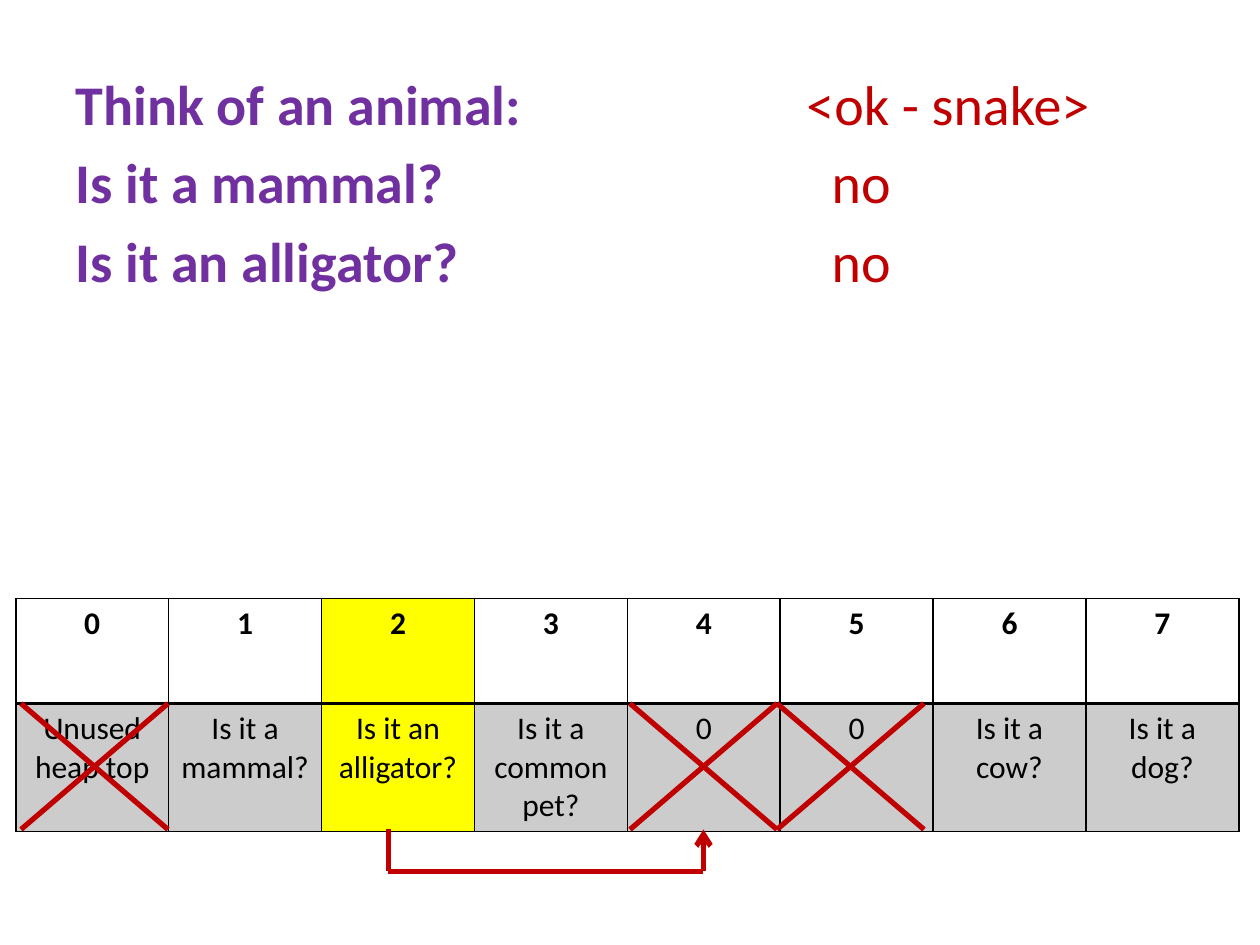
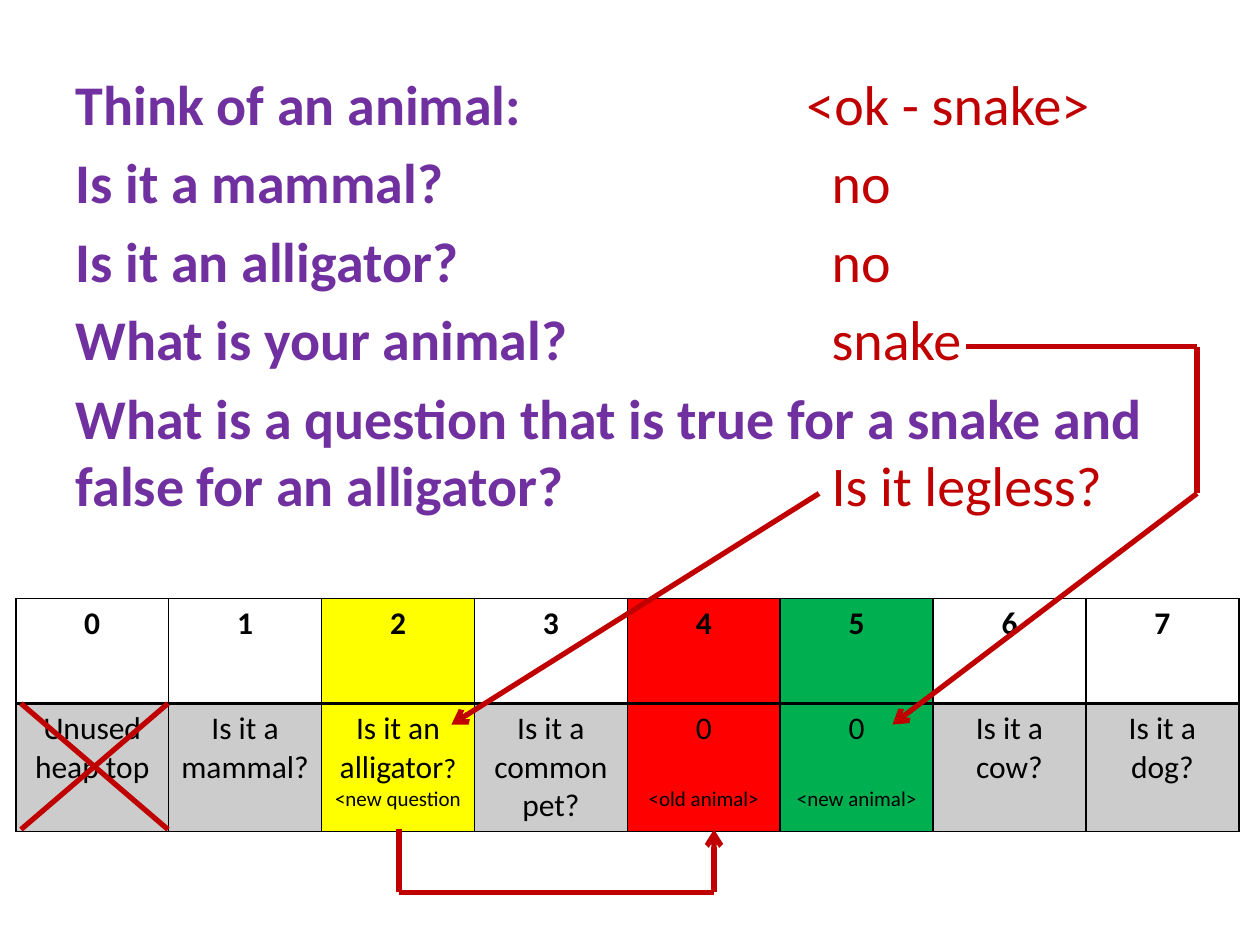
"""Build two slides that trace a guessing game through its heap table."""
import itertools

import lxml.etree
import pptx
import pptx.dml.color
import pptx.enum.shapes
import pptx.enum.text
import pptx.oxml.ns
import pptx.util

COLORS = {
    "question": "7030A0",
    "answer": "C00000",
    "ink": "000000",
    "current": "FFFF00",
    "old": "FF0000",
    "new": "00B050",
}
FONT = "Calibri"
GRID_COLUMNS, GRID_ROWS = 120, 90
SLIDE_WIDTH, SLIDE_HEIGHT = pptx.util.Inches(10), pptx.util.Inches(7.5)

TABLE_LEFT, TABLE_TOP, TABLE_WIDTH = 1.5, 57, 116.5
INDEX_HEIGHT, NODE_HEIGHT = 10, 12.2
CROSS_TOP, CROSS_BOTTOM, CROSS_WIDTH = 67, 79, 14

HEAP = ["Unused heap top", "Is it a mammal?", "Is it an alligator?",
        "Is it a common pet?", "0", "0", "Is it a cow?", "Is it a dog?"]
ANSWER_COLUMN, READY_COLUMN = 72, 69.6
GUESSES = [
    ("Think of an animal:", "<ok - snake>", READY_COLUMN),
    ("Is it a mammal?", "no", ANSWER_COLUMN),
    ("Is it an alligator?", "no", ANSWER_COLUMN),
]
LESSONS = [
    ("What is your animal?", "snake", ANSWER_COLUMN),
    ("What is a question that is true for a snake and "
     "false for an alligator?", "Is it legless?", ANSWER_COLUMN),
]


def across(columns):
    """Return the length of a number of grid columns."""
    return round(SLIDE_WIDTH * columns / GRID_COLUMNS)


def down(rows):
    """Return the length of a number of grid rows."""
    return round(SLIDE_HEIGHT * rows / GRID_ROWS)


def rgb(name):
    """Return the named colour."""
    return pptx.dml.color.RGBColor.from_string(COLORS[name])


def add_xml(parent, tag, **attributes):
    """Append an element with the given attributes."""
    child = lxml.etree.SubElement(parent, pptx.oxml.ns.qn(tag))
    for key, value in attributes.items():
        child.set(key, str(value))
    return child


def write(paragraph, text, size=18, color="ink", bold=False):
    """Add a formatted run to a paragraph."""
    run = paragraph.add_run()
    run.text = text
    run.font.name = FONT
    run.font.size = pptx.util.Pt(size)
    run.font.bold = bold
    run.font.color.rgb = rgb(color)


def add_dialogue(slide, exchanges):
    """Fill the body placeholder, with each answer one wide tab from the left."""
    title = slide.shapes.title
    title.element.getparent().remove(title.element)
    dialogue = slide.placeholders[1]
    dialogue.left, dialogue.top = across(6), down(6)
    dialogue.width, dialogue.height = across(113), down(74)
    frame = dialogue.text_frame
    for position, (question, answer, answer_column) in enumerate(exchanges):
        paragraph = frame.add_paragraph() if position else frame.paragraphs[0]
        properties = paragraph._p.get_or_add_pPr()
        properties.set("marL", "0")
        properties.set("indent", "0")
        properties.set("defTabSz", str(across(answer_column)))
        add_xml(properties, "a:buNone")
        paragraph.space_before = pptx.util.Pt(6.4 if position else 0)
        write(paragraph, question + "\t", size=32, color="question", bold=True)
        write(paragraph, answer, size=32, color="answer")


def style_cell(cell, bottom=1, fill=None, shaded=False):
    """Give a cell black borders and its fill."""
    properties = cell._tc.get_or_add_tcPr()
    for side, width in zip("LRTB", (1, 1, 1, bottom)):
        border = add_xml(properties, "a:ln" + side, w=pptx.util.Pt(width))
        solid = add_xml(border, "a:solidFill")
        add_xml(solid, "a:srgbClr", val=COLORS["ink"])
    if not fill and not shaded:
        cell.fill.background()
        return
    cell.fill.solid()
    cell.fill.fore_color.rgb = rgb(fill or "ink")
    if not fill:
        tint = properties.find(pptx.oxml.ns.qn("a:solidFill"))[0]
        add_xml(tint, "a:alpha", val=20000)


def add_heap(slide, highlights, notes):
    """Add the heap table with highlighted columns and small notes."""
    heap = slide.shapes.add_table(
        2, len(HEAP), across(TABLE_LEFT), down(TABLE_TOP),
        across(TABLE_WIDTH), down(INDEX_HEIGHT + NODE_HEIGHT)).table
    heap.first_row = heap.horz_banding = False
    heap.rows[0].height = down(INDEX_HEIGHT)
    heap.rows[1].height = down(NODE_HEIGHT)
    for column, label in enumerate(HEAP):
        heap.columns[column].width = across(TABLE_WIDTH / len(HEAP))
        index, node = heap.cell(0, column), heap.cell(1, column)
        fill = highlights.get(column)
        style_cell(index, bottom=2, fill=fill)
        style_cell(node, fill=fill, shaded=True)
        write(index.text_frame.paragraphs[0], str(column), bold=True)
        content = node.text_frame.paragraphs[0]
        if column in notes:
            note, gap = notes[column]
            write(content, label.rstrip("?"))
            if label.endswith("?"):
                write(content, "?", size=16)
            remark = node.text_frame.add_paragraph()
            remark.space_before = pptx.util.Pt(gap)
            write(remark, note, size=12)
        else:
            write(content, label)
        for paragraph in itertools.chain(index.text_frame.paragraphs,
                                         node.text_frame.paragraphs):
            paragraph.alignment = pptx.enum.text.PP_ALIGN.CENTER


def add_route(slide, *points, arrow=True):
    """Draw straight lines through grid points, with an arrowhead at the end."""
    for start, end in itertools.pairwise(points):
        leg = slide.shapes.add_connector(
            pptx.enum.shapes.MSO_CONNECTOR.STRAIGHT,
            across(start[0]), down(start[1]), across(end[0]), down(end[1]))
        leg.line.color.rgb = rgb("answer")
        leg.line.width = pptx.util.Pt(3)
        if arrow and end == points[-1]:
            add_xml(leg.line._get_or_add_ln(), "a:tailEnd", type="arrow")
        add_xml(leg._element.spPr, "a:effectLst")


def add_cross(slide, left):
    """Cross out a heap node."""
    right = left + CROSS_WIDTH
    add_route(slide, (left, CROSS_TOP), (right, CROSS_BOTTOM), arrow=False)
    add_route(slide, (right, CROSS_TOP), (left, CROSS_BOTTOM), arrow=False)


def add_child_arrow(slide, parent, child, depth):
    """Lead from a parent node under the table to its child node."""
    add_route(slide, (parent, CROSS_BOTTOM), (parent, depth),
              (child, depth), (child, CROSS_BOTTOM))


def add_step(deck, exchanges, highlights, notes, crosses):
    """Add a slide with its dialogue, heap and crossed-out nodes."""
    slide = deck.slides.add_slide(deck.slide_layouts[1])
    add_dialogue(slide, exchanges)
    add_heap(slide, highlights, notes)
    for left in crosses:
        add_cross(slide, left)
    return slide


def main():
    """Build and save both slides."""
    deck = pptx.Presentation()
    deck.slide_width, deck.slide_height = SLIDE_WIDTH, SLIDE_HEIGHT

    guess = add_step(deck, GUESSES, {2: "current"}, {}, (2, 60, 74))
    add_child_arrow(guess, 37, 67, 83)

    lesson = add_step(
        deck, GUESSES + LESSONS, {2: "current", 4: "old", 5: "new"},
        {2: ("<new question", 0), 4: ("<old animal>", 22),
         5: ("<new animal>", 22)}, (2,))
    add_route(lesson, (78, 47), (43, 69))
    add_child_arrow(lesson, 38, 68, 85)
    add_route(lesson, (92, 33), (114, 33), (114, 47), (85, 69))

    deck.save("out.pptx")


if __name__ == "__main__":
    main()
